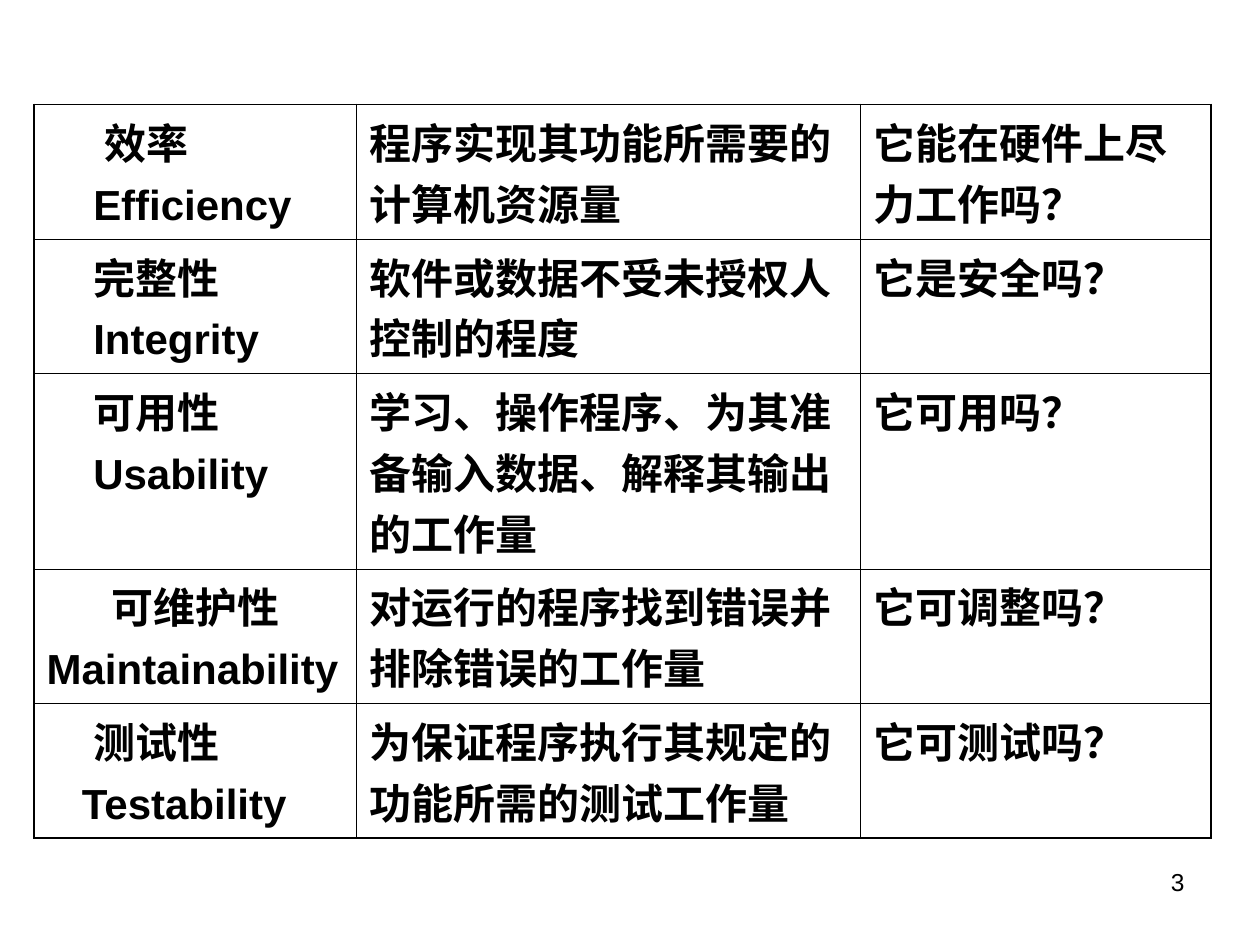
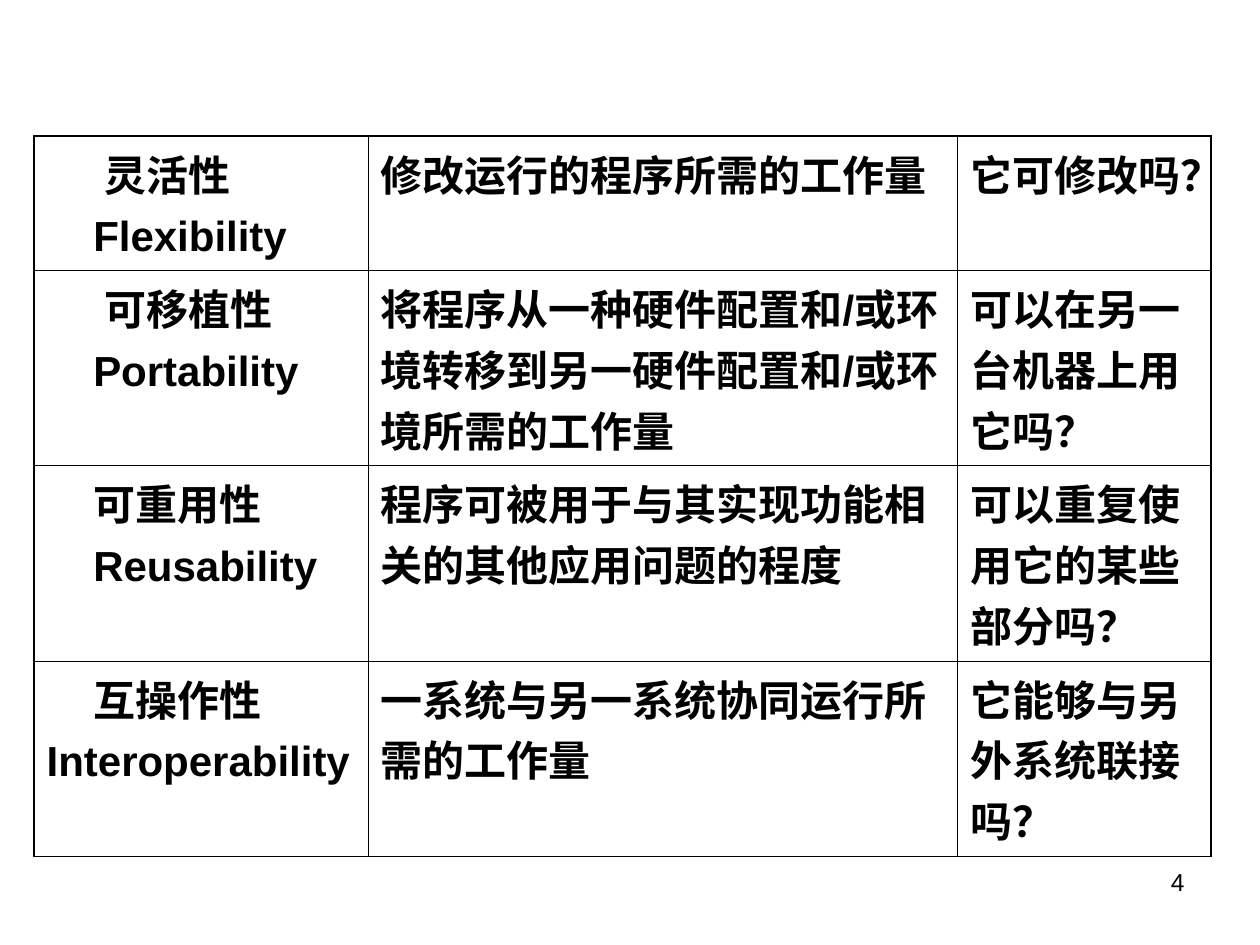
"""Build two slides of tables describing software quality factors."""
from lxml.etree import SubElement
from pptx import Presentation
from pptx.dml.color import RGBColor
from pptx.enum.lang import MSO_LANGUAGE_ID as Lang
from pptx.enum.text import PP_ALIGN as Align
from pptx.oxml.ns import qn
from pptx.util import Inches, Pt

COLORS = {"text": "000000", "border": "000000"}
FONT = "Arial"
WIDTH, HEIGHT = 10, 7.5
TABLE_LEFT = 0.27
LINE_HEIGHT, CELL_PADDING = 34.8, 7.2
INNER, OUTER = 0.45, 1.08
CENTER = "center"
FAR, MID, NEAR, FLUSH = 0.46, 0.37, 0.28, 0

SLIDES = [
    {
        "number": 3,
        "top": 0.83,
        "columns": (2.56, 4, 2.78),
        "rows": [
            (2, (("效率", FAR), ("Efficiency", MID)),
             "程序实现其功能所需要的计算机资源量", "它能在硬件上尽力工作吗？"),
            (2, (("完整性", MID), ("Integrity", MID)),
             "软件或数据不受未授权人控制的程度", "它是安全吗？"),
            (3, (("可用性", MID), ("Usability", MID)),
             "学习、操作程序、为其准备输入数据、解释其输出的工作量", "它可用吗？"),
            (2, (("可维护性", CENTER), ("Maintainability", FLUSH)),
             "对运行的程序找到错误并排除错误的工作量", "它可调整吗？"),
            (2, (("测试性", MID), ("Testability", NEAR)),
             "为保证程序执行其规定的功能所需的测试工作量", "它可测试吗？"),
        ],
    },
    {
        "number": 4,
        "top": 1.08,
        "columns": (2.65, 4.68, 2.01),
        "rows": [
            (2, (("灵活性", FAR), ("Flexibility", MID)),
             "修改运行的程序所需的工作量", "它可修改吗？"),
            (3, (("可移植性", FAR), ("Portability", MID)),
             "将程序从一种硬件配置和/或环境转移到另一硬件配置和/或环境所需的工作量",
             "可以在另一台机器上用它吗？"),
            (3, (("可重用性", MID), ("Reusability", MID)),
             "程序可被用于与其实现功能相关的其他应用问题的程度",
             "可以重复使用它的某些部分吗？"),
            (3, (("互操作性", MID), ("Interoperability", FLUSH)),
             "一系统与另一系统协同运行所需的工作量", "它能够与另外系统联接吗？"),
        ],
    },
]


def set_font(p, size, bold=False):
    font = p.font
    font.name, font.size, font.bold = FONT, Pt(size), bold
    font.color.rgb = RGBColor.from_string(COLORS["text"])
    for r in p.runs:
        r.font.language_id = Lang.SIMPLIFIED_CHINESE


def fill_cell(cell, lines):
    tf = cell.text_frame
    for i, (text, indent) in enumerate(lines):
        p = tf.add_paragraph() if i else tf.paragraphs[0]
        p.text = text
        if i:
            p.space_before = Pt(6)
        if indent == CENTER:
            p.alignment = Align.CENTER
        elif indent:
            p_pr = p._p.get_or_add_pPr()
            p_pr.set("marL", str(Inches(indent)))
            p_pr.set("indent", "0")
        set_font(p, 24, True)


def set_borders(cell, outer_sides):
    tc_pr = cell._tc.get_or_add_tcPr()
    for side in "LRTB":
        width = OUTER if side in outer_sides else INNER
        ln = SubElement(tc_pr, qn(f"a:ln{side}"), w=str(Pt(width)))
        fill = SubElement(ln, qn("a:solidFill"))
        SubElement(fill, qn("a:srgbClr"), val=COLORS["border"])


def add_factor_table(slide, top, columns, rows):
    heights = [Pt(CELL_PADDING + LINE_HEIGHT * row[0]) for row in rows]
    frame = slide.shapes.add_table(
        len(rows), len(columns), Inches(TABLE_LEFT), Inches(top),
        Inches(sum(columns)), sum(heights))
    table = frame.table
    table.first_row = table.horz_banding = False
    for column, width in zip(table.columns, columns):
        column.width = Inches(width)
    for r, (_, names, definition, question) in enumerate(rows):
        table.rows[r].height = heights[r]
        contents = (names, ((definition, FLUSH),), ((question, FLUSH),))
        for c, lines in enumerate(contents):
            cell = table.cell(r, c)
            fill_cell(cell, lines)
            edges = {"L": c == 0, "R": c == len(columns) - 1,
                     "T": r == 0, "B": r == len(rows) - 1}
            set_borders(cell, [side for side, outer in edges.items() if outer])
            cell.fill.background()


def add_slide_number(slide, number):
    width, height = 2.33, 0.52
    box = slide.shapes.add_textbox(
        Inches(WIDTH * 0.95 - width), Inches(HEIGHT * 0.98 - height),
        Inches(width), Inches(height))
    tf = box.text_frame
    tf.word_wrap = True
    p = tf.paragraphs[0]
    p.text = str(number)
    p.alignment = Align.RIGHT
    set_font(p, 14)


def main():
    prs = Presentation()
    prs.slide_width, prs.slide_height = Inches(WIDTH), Inches(HEIGHT)
    blank = prs.slide_layouts.get_by_name("Blank")
    for content in SLIDES:
        slide = prs.slides.add_slide(blank)
        add_factor_table(slide, content["top"], content["columns"], content["rows"])
        add_slide_number(slide, content["number"])
    prs.save("out.pptx")


if __name__ == "__main__":
    main()
